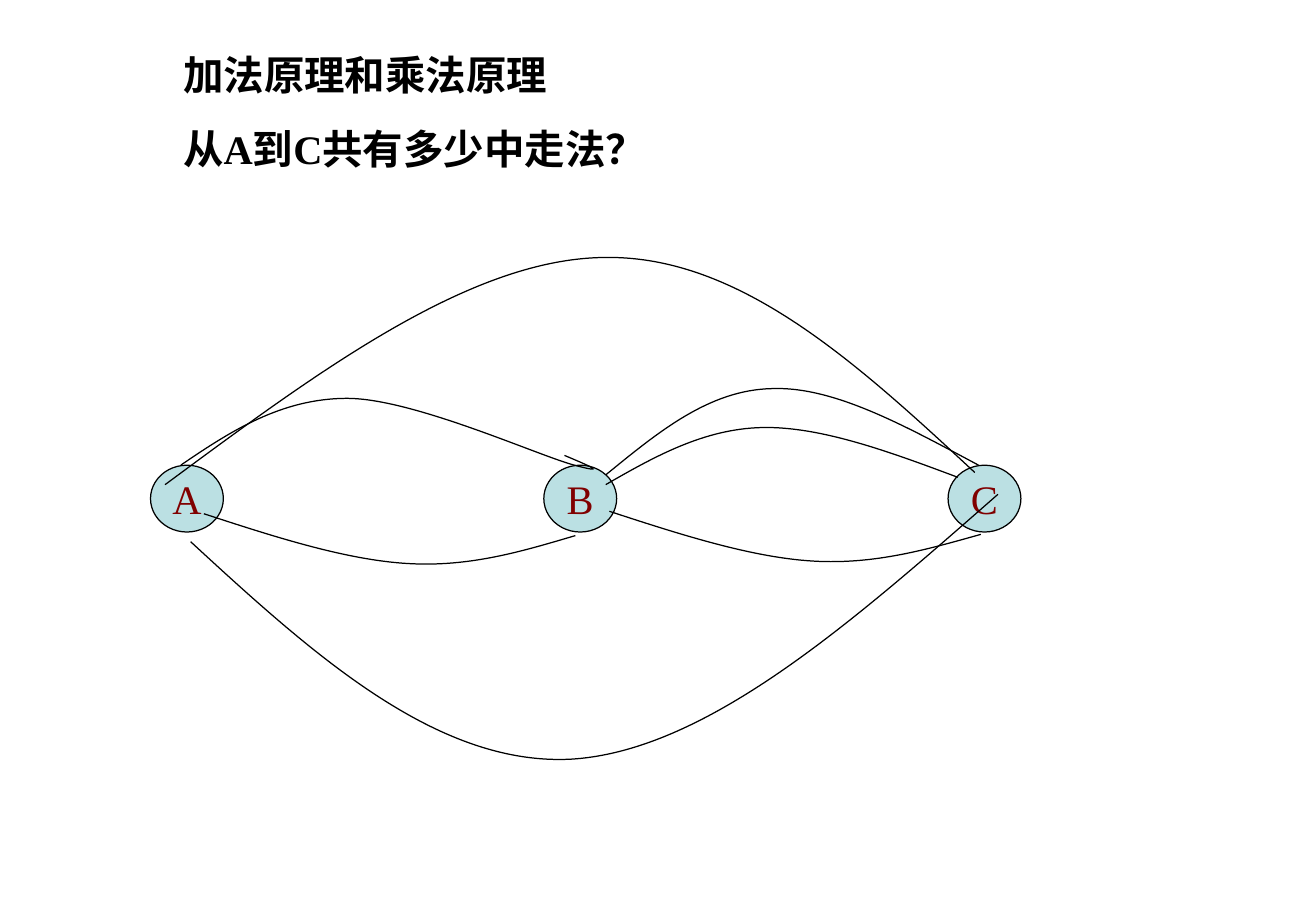
from dataclasses import dataclass

from pptx import Presentation
from pptx.dml.color import RGBColor
from pptx.enum.lang import MSO_LANGUAGE_ID
from pptx.enum.shapes import MSO_SHAPE
from pptx.enum.text import MSO_ANCHOR, MSO_AUTO_SIZE, PP_ALIGN
from pptx.oxml.ns import qn
from pptx.oxml.xmlchemy import OxmlElement
from pptx.util import Pt

EMU_PER_PX = 9144


@dataclass(frozen=True)
class Theme:
    """Colours, font and sizes of the slide."""

    ink: RGBColor = RGBColor(0x00, 0x00, 0x00)
    town_fill: RGBColor = RGBColor(0xBB, 0xE0, 0xE3)
    town_text: RGBColor = RGBColor(0x80, 0x00, 0x00)
    font: str = "Times New Roman"
    text_size: Pt = Pt(24)
    line_gap: Pt = Pt(15)
    line_width: Pt = Pt(0.75)


THEME = Theme()

HEADING = ("加法原理和乘法原理", "从A到C共有多少中走法？")
TOWNS = {"A": 124, "B": 448, "C": 781}
ROUTES = (
    ((149, 383), (190, 355), (232, 328), (286, 328), (340, 328), (443, 375), (473, 383),
     (503, 391), (484, 383), (465, 375)),
    ((499, 391), (542, 356), (584, 321), (636, 320), (687, 318), (746, 351), (806, 383)),
    ((499, 399), (539, 376), (580, 353), (628, 352), (676, 351), (733, 372), (789, 393)),
    ((808, 440), (765, 452), (721, 465), (670, 462), (619, 459), (560, 440), (502, 421)),
    ((474, 441), (430, 454), (387, 467), (336, 464), (285, 461), (226, 442), (168, 423)),
    ((803, 389), (706, 299), (609, 210), (498, 212), (387, 213), (262, 306), (136, 399)),
    ((157, 446), (258, 539), (360, 631), (471, 625), (582, 618), (701, 513), (822, 407)),
)


def px(*lengths):
    """Turn px lengths into a list of EMU."""
    return [length * EMU_PER_PX for length in lengths]


def add_span(para, text, color, bold=False):
    """Add one styled run to a paragraph."""
    span = para.add_run()
    span.text = text
    span.font.name = THEME.font
    span.font.size = THEME.text_size
    span.font.bold = bold
    span.font.color.rgb = color
    span.font.language_id = MSO_LANGUAGE_ID.SIMPLIFIED_CHINESE


def outline(shape):
    """Give a shape the thin dark line and no shadow."""
    shape.shadow.inherit = False
    shape.line.color.rgb = THEME.ink
    shape.line.width = THEME.line_width


def add_heading(page, lines):
    """Add the bold heading, one paragraph a line."""
    box = page.shapes.add_textbox(*px(141, 36, 589, 111))
    frame = box.text_frame
    frame.word_wrap = True
    frame.auto_size = MSO_AUTO_SIZE.SHAPE_TO_FIT_TEXT
    for index, line in enumerate(lines):
        para = frame.add_paragraph() if index else frame.paragraphs[0]
        if index:
            para.space_before = THEME.line_gap
        add_span(para, line, THEME.ink, bold=True)


def add_town(page, name, left):
    """Add a lettered ellipse for a town."""
    town = page.shapes.add_shape(MSO_SHAPE.OVAL, *px(left, 383, 60, 55))
    outline(town)
    town.fill.solid()
    town.fill.fore_color.rgb = THEME.town_fill
    frame = town.text_frame
    frame.word_wrap = False
    frame.vertical_anchor = MSO_ANCHOR.MIDDLE
    para = frame.paragraphs[0]
    para.alignment = PP_ALIGN.CENTER
    add_span(para, name, THEME.town_text)


def add_route(page, points):
    """Add an open Bezier curve: a start, then three points a segment."""
    builder = page.shapes.build_freeform(*points[0], scale=float(EMU_PER_PX))
    builder.add_line_segments(points[1:], close=False)
    route = builder.convert_to_shape()
    route.fill.background()
    outline(route)
    steps = list(route.element.iter(qn("a:lnTo")))
    for first in range(0, len(steps), 3):
        curve = OxmlElement("a:cubicBezTo")
        steps[first].addprevious(curve)
        for step in steps[first:first + 3]:
            curve.append(step[0])
            step.getparent().remove(step)


def main():
    """Build and save the slide."""
    deck = Presentation()
    deck.slide_width, deck.slide_height = px(1084, 750)
    page = deck.slides.add_slide(deck.slide_layouts[6])
    add_heading(page, HEADING)
    for name, left in TOWNS.items():
        add_town(page, name, left)
    for points in ROUTES:
        add_route(page, points)
    deck.save("out.pptx")


if __name__ == "__main__":
    main()
